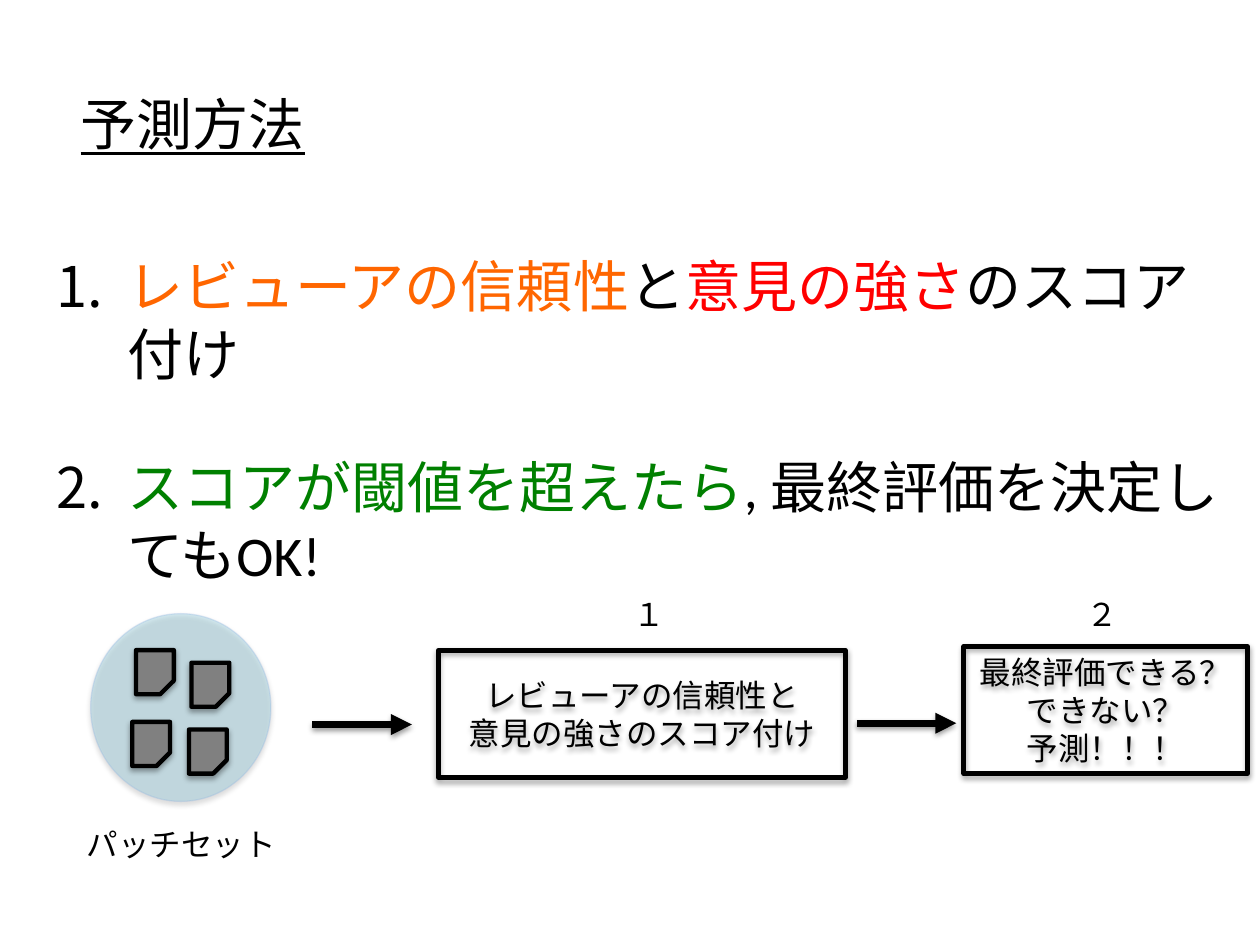
from lxml import etree
from pptx import Presentation
from pptx.dml.color import RGBColor
from pptx.enum.shapes import MSO_CONNECTOR, MSO_SHAPE
from pptx.enum.text import MSO_ANCHOR, MSO_AUTO_SIZE, PP_ALIGN
from pptx.oxml.ns import qn
from pptx.util import Inches, Pt

LEFT, CENTER = PP_ALIGN.LEFT, PP_ALIGN.CENTER
TOP, MIDDLE = MSO_ANCHOR.TOP, MSO_ANCHOR.MIDDLE
NO_RESIZE = MSO_AUTO_SIZE.NONE
STRAIGHT = MSO_CONNECTOR.STRAIGHT
OVAL, SNIPPED, RECTANGLE = MSO_SHAPE.OVAL, MSO_SHAPE.SNIP_1_RECTANGLE, MSO_SHAPE.RECTANGLE

BLACK = "000000"


def write(frame, paragraphs, size, align=CENTER, anchor=TOP):
    """Fill a text frame with paragraphs, each a list of (text, colour) runs."""
    frame.word_wrap = True
    frame.auto_size = NO_RESIZE
    frame.vertical_anchor = anchor
    for i, runs in enumerate(paragraphs):
        paragraph = frame.add_paragraph() if i else frame.paragraphs[0]
        paragraph.alignment = align
        for text, color in runs:
            run = paragraph.add_run()
            run.text = text
            run.font.name = "Calibri"
            run.font.size = Pt(size)
            run.font.color.rgb = RGBColor.from_string(color)


def style(item, color, width, shadow_alpha=35, distance=1.8):
    """Give a shape or connector its outline and soft shadow below."""
    item.line.color.rgb = RGBColor.from_string(color)
    item.line.width = Pt(width)
    properties = item._element.spPr
    effects = etree.SubElement(properties, qn("a:effectLst"))
    shadow = etree.SubElement(effects, qn("a:outerShdw"), blurRad=str(Pt(3.1)),
                              dist=str(Pt(distance)), dir="5400000", rotWithShape="0")
    shade = etree.SubElement(shadow, qn("a:srgbClr"), val=BLACK)
    etree.SubElement(shade, qn("a:alpha"), val=str(shadow_alpha * 1000))


prs = Presentation()
prs.slide_width, prs.slide_height = Inches(10), Inches(7.5)
slide = prs.slides.add_slide(prs.slide_layouts[5])
shapes = slide.shapes

# Title
title = shapes.title
title.left, title.top = Inches(0.54), Inches(0.66)
title.width, title.height = Inches(2.36), Inches(0.64)
write(title.text_frame, [[("予測方法", BLACK)]], 32, LEFT)
title.text_frame.paragraphs[0].runs[0].font.underline = True

# Numbered steps
steps = shapes.add_textbox(Inches(0.35), Inches(1.95), Inches(9.55), Inches(2.26)).text_frame
write(steps, [
    [("レビューアの信頼性", "FF6600"), ("と", BLACK), ("意見の強さ", "FF0000"),
     ("のスコア付け", BLACK)],
    [("スコアが閾値を超えたら", "008000"), (", 最終評価を決定してもOK!", BLACK)],
], 32, LEFT)
for step in steps.paragraphs:
    ppr = step._p.get_or_add_pPr()
    ppr.set("marL", str(Inches(0.56)))
    ppr.set("indent", str(-Inches(0.56)))
    bullet_color = etree.SubElement(ppr, qn("a:buClr"))
    etree.SubElement(bullet_color, qn("a:srgbClr"), val=BLACK)
    etree.SubElement(ppr, qn("a:buFont"), typeface="Calibri")
    etree.SubElement(ppr, qn("a:buAutoNum"), type="arabicPeriod")
steps.paragraphs[1].space_before = Pt(38)

# Patch set circle
patch_set = shapes.add_shape(OVAL, Inches(0.72), Inches(4.87), Inches(1.43), Inches(1.49))
patch_set.fill.solid()
patch_set.fill.fore_color.rgb = RGBColor.from_string("93CDDD")
style(patch_set, "8EB4E3", 0.75)
circle_properties = patch_set._element.spPr
for part, alpha in (("a:solidFill", 38), ("a:ln/a:solidFill", 30)):
    color_node = circle_properties.find(f"{part}/a:srgbClr", circle_properties.nsmap)
    etree.SubElement(color_node, qn("a:alpha"), val=str(alpha * 1000))

# Patches, with the cut corner at the bottom right
for left, top in ((1.08, 5.16), (1.52, 5.26), (1.05, 5.73), (1.5, 5.79)):
    patch = shapes.add_shape(SNIPPED, Inches(left), Inches(top), Inches(0.3), Inches(0.35))
    patch.adjustments[0] = 0.36
    patch._element.spPr.find(qn("a:xfrm")).set("flipV", "1")
    patch.fill.solid()
    patch.fill.fore_color.rgb = RGBColor.from_string("808080")
    style(patch, BLACK, 2.5)

# Process boxes
for left, top, width, lines in (
    (3.48, 5.16, 3.23, ["レビューアの信頼性と", "意見の強さのスコア付け"]),
    (7.65, 5.13, 2.25, ["最終評価できる？", "できない？", "予測！！！"]),
):
    box = shapes.add_shape(RECTANGLE, Inches(left), Inches(top), Inches(width), Inches(1.01))
    box.fill.background()
    style(box, BLACK, 2.75)
    write(box.text_frame, [[(line, BLACK)] for line in lines], 18, anchor=MIDDLE)

# Captions
for left, top, width, caption in (
    (0.4, 6.5, 2.08, "パッチセット"),
    (4.67, 4.67, 0.96, "１"),
    (8.27, 4.67, 0.96, "２"),
):
    label = shapes.add_textbox(Inches(left), Inches(top), Inches(width), Inches(0.4))
    write(label.text_frame, [[(caption, BLACK)]], 18)

# Arrows
for start, y in ((2.48, 5.75), (6.8, 5.74)):
    arrow = shapes.add_connector(STRAIGHT, Inches(start), Inches(y),
                                 Inches(start + 0.79), Inches(y))
    style(arrow, BLACK, 4, shadow_alpha=38, distance=1.6)
    etree.SubElement(arrow.line._get_or_add_ln(), qn("a:tailEnd"), type="triangle")

prs.save("out.pptx")
